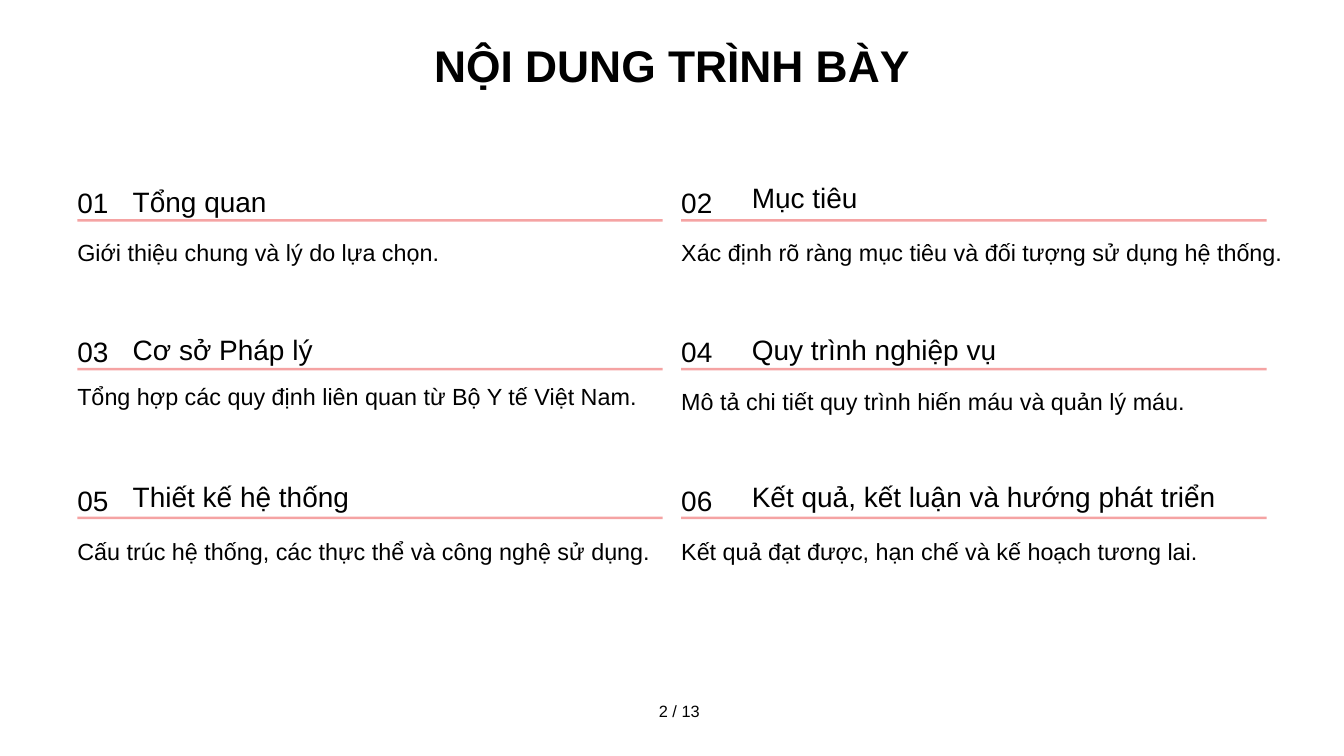
"""Build the agenda slide: a title, six numbered topics in two columns and a page number."""
from pptx import Presentation
from pptx.dml.color import RGBColor
from pptx.enum.shapes import MSO_SHAPE
from pptx.enum.text import MSO_ANCHOR, PP_ALIGN
from pptx.util import Inches, Pt

BLACK = RGBColor(0x00, 0x00, 0x00)
PINK = RGBColor(0xF5, 0xA3, 0xA3)

COLUMNS = [(0.92, 1.58, 6.97), (8.11, 8.95, 7.4)]
ROW_TOP, ROW_STEP = 2.25, 1.77
RULE_WIDTH = 6.97
HEADING_WIDTH = 6.22

TOPICS = [
    ("Tổng quan", 2.26, "Giới thiệu chung và lý do lựa chọn.", 2.81),
    ("Mục tiêu", 2.22, "Xác định rõ ràng mục tiêu và đối tượng sử dụng hệ thống.", 2.81),
    ("Cơ sở Pháp lý", 4.02, "Tổng hợp các quy định liên quan từ Bộ Y tế Việt Nam.", 4.52),
    ("Quy trình nghiệp vụ", 4.02, "Mô tả chi tiết quy trình hiến máu và quản lý máu.", 4.58),
    ("Thiết kế hệ thống", 5.78, "Cấu trúc hệ thống, các thực thể và công nghệ sử dụng.", 6.37),
    ("Kết quả, kết luận và hướng phát triển", 5.77,
     "Kết quả đạt được, hạn chế và kế hoạch tương lai.", 6.37),
]

prs = Presentation()
prs.slide_width, prs.slide_height = Inches(16), Inches(9)
slide = prs.slides.add_slide(prs.slide_layouts[6])


def add_text(text, left, top, width, height, size=24, bold=False, spacing=None,
             align=PP_ALIGN.LEFT, anchor=MSO_ANCHOR.TOP, inset=(0, 0)):
    sp = slide.shapes.add_textbox(Inches(left), Inches(top), Inches(width), Inches(height))
    tf = sp.text_frame
    tf.word_wrap = True
    tf.vertical_anchor = anchor
    tf.margin_left = tf.margin_right = Inches(inset[0])
    tf.margin_top = tf.margin_bottom = Inches(inset[1])
    p = tf.paragraphs[0]
    p.alignment = align
    if spacing:
        p.line_spacing = Pt(spacing)
    r = p.add_run()
    r.text = text
    r.font.name = "Arial"
    r.font.size = Pt(size)
    r.font.bold = bold
    r.font.color.rgb = BLACK


add_text("2 / 13", 7.56, 8.22, 0.87, 0.48, size=14, align=PP_ALIGN.RIGHT,
         anchor=MSO_ANCHOR.MIDDLE, inset=(0.1, 0.05))
add_text("NỘI DUNG TRÌNH BÀY", 5.07, 0.4, 6.1, 0.74, size=38, bold=True, inset=(0.1, 0.05))

for i, (heading, heading_top, detail, detail_top) in enumerate(TOPICS):
    row, col = divmod(i, 2)
    left, heading_left, detail_width = COLUMNS[col]
    top = ROW_TOP + row * ROW_STEP
    add_text(f"{i + 1:02d}", left, top, 0.42, 0.29, spacing=26)
    rule = slide.shapes.add_shape(MSO_SHAPE.RECTANGLE, Inches(left), Inches(top + 0.36),
                                  Inches(RULE_WIDTH), Inches(0.03))
    rule.shadow.inherit = False
    rule.fill.solid()
    rule.fill.fore_color.rgb = PINK
    rule.line.fill.background()
    add_text(heading, heading_left, heading_top, HEADING_WIDTH, 0.34, spacing=24)
    add_text(detail, left, detail_top, detail_width, 0.37, size=20, spacing=26)

prs.save("out.pptx")
